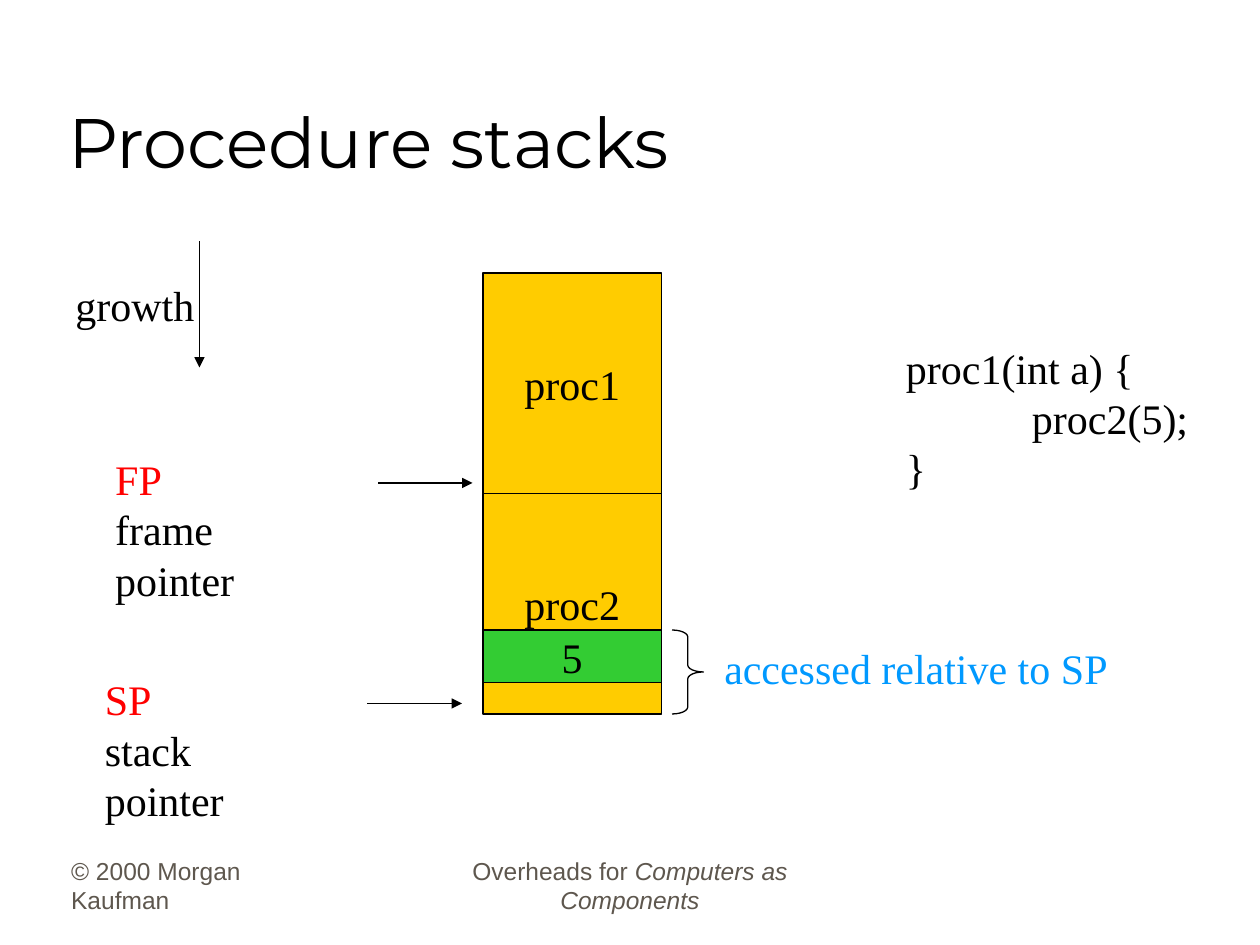
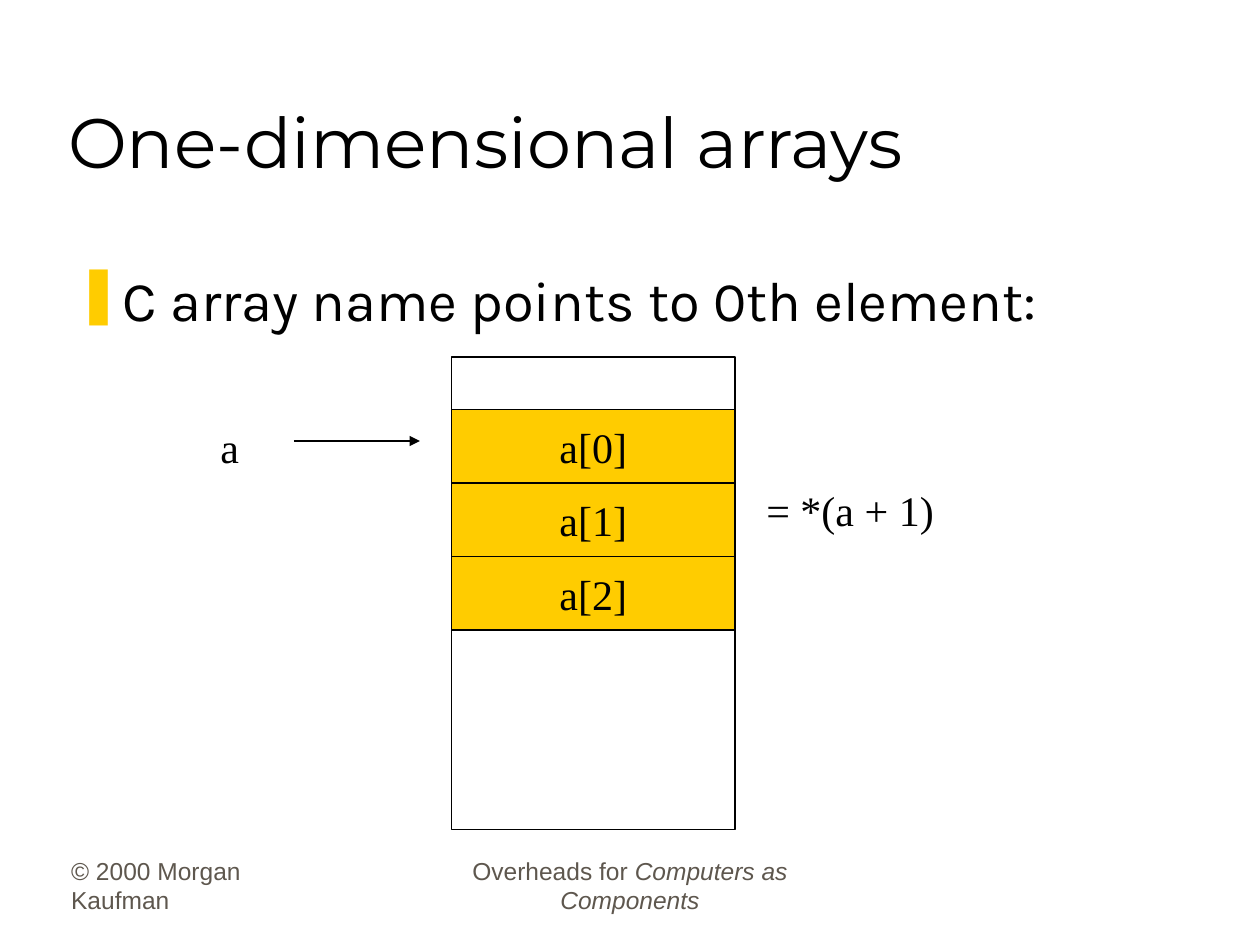
from lxml import etree
from pptx import Presentation
from pptx.dml.color import RGBColor
from pptx.enum.shapes import MSO_CONNECTOR, MSO_SHAPE
from pptx.enum.text import MSO_ANCHOR as ANCHOR, MSO_AUTO_SIZE as FIT, PP_ALIGN as ALIGN
from pptx.oxml.ns import qn
from pptx.util import Pt

PX = 7620  # 120 px to the inch
BLACK = RGBColor(0x00, 0x00, 0x00)
WHITE = RGBColor(0xFF, 0xFF, 0xFF)
YELLOW = RGBColor(0xFF, 0xCC, 0x00)
GREEN = RGBColor(0x33, 0xCC, 0x33)
RED = RGBColor(0xFF, 0x00, 0x00)
BLUE = RGBColor(0x00, 0x99, 0xFF)
GREY = RGBColor(0x5E, 0x57, 0x4E)

THIN = Pt(0.75)
TOP = {"vertical_anchor": ANCHOR.TOP, "word_wrap": True}
BOTTOM = {"vertical_anchor": ANCHOR.BOTTOM, "word_wrap": True}
LABEL_FRAME = {"word_wrap": False, "auto_size": FIT.SHAPE_TO_FIT_TEXT}
CELL_FRAME = {"vertical_anchor": ANCHOR.MIDDLE, "word_wrap": False}

# Each style: font name, size, text frame values, alignment
TITLE = ("Montserrat", 40, BOTTOM, ALIGN.LEFT)
BODY = ("Karla", 32, TOP, ALIGN.LEFT)
LABEL = ("Times New Roman", 24, LABEL_FRAME, ALIGN.LEFT)
CELL = ("Times New Roman", 24, CELL_FRAME, ALIGN.CENTER)
FOOT_LEFT = ("Arial", 14, BOTTOM, ALIGN.LEFT)
FOOT_MID = ("Arial", 14, BOTTOM, ALIGN.CENTER)


def add_text(s, box, lines, style, fill=None):
    """Add a text box, or a filled cell; each line is a list of (text, colour, italic) runs."""
    name, size, frame, align = style
    box = [v * PX for v in box]
    if fill is None:
        sp = s.shapes.add_textbox(*box)
    else:
        sp = s.shapes.add_shape(MSO_SHAPE.RECTANGLE, *box)
        sp.shadow.inherit = False
        sp.fill.solid()
        sp.fill.fore_color.rgb = fill
        sp.line.color.rgb = BLACK
        sp.line.width = THIN
    tf = sp.text_frame
    for key, value in frame.items():
        setattr(tf, key, value)
    for i, runs in enumerate(lines):
        p = tf.add_paragraph() if i else tf.paragraphs[0]
        p.alignment = align
        for text, color, italic in runs:
            r = p.add_run()
            r.text = text
            for key, value in {"name": name, "size": Pt(size), "italic": italic}.items():
                setattr(r.font, key, value)
            r.font.color.rgb = color
    return sp


def add_arrow(s, x1, y1, x2, y2):
    c = s.shapes.add_connector(MSO_CONNECTOR.STRAIGHT, x1 * PX, y1 * PX, x2 * PX, y2 * PX)
    c.line.color.rgb = BLACK
    c.line.width = THIN
    etree.SubElement(c.line._get_or_add_ln(), qn("a:tailEnd"), type="triangle")
    etree.SubElement(c._element.spPr, qn("a:effectLst"))


prs = Presentation()
prs.slide_width, prs.slide_height = 1200 * PX, 900 * PX

# Shared title and footers
slides = []
for title in ("Procedure stacks", "One-dimensional arrays"):
    s = prs.slides.add_slide(prs.slide_layouts[6])
    s.background.fill.solid()
    s.background.fill.fore_color.rgb = WHITE
    add_text(s, (56, 817, 250, 60), [[("© 2000 Morgan Kaufman", GREY, False)]], FOOT_LEFT)
    add_text(s, (410, 817, 380, 60), [[("Overheads for ", GREY, False),
                                       ("Computers as Components", GREY, True)]], FOOT_MID)
    add_text(s, (53, 30, 1020, 150), [[(title, BLACK, False)]], TITLE)
    slides.append(s)
stack, array = slides

# Procedure stacks: frames, pointers and the calling code
for box, text, fill in (
    ((460, 260, 170, 210), "proc1", YELLOW),
    ((460, 470, 170, 210), "proc2", YELLOW),
    ((460, 600, 170, 50), "5", GREEN),
):
    add_text(stack, box, [[(text, BLACK, False)]], CELL, fill)

for box, lines in (
    ((60, 260, 137, 60), [("growth", BLACK)]),
    ((98, 426, 240, 108), [("FP", RED), ("frame pointer", BLACK)]),
    ((88, 636, 229, 108), [("SP", RED), ("stack pointer", BLACK)]),
    ((678, 606, 389, 60), [("accessed relative to SP", BLUE)]),
):
    add_text(stack, box, [[(text, color, False)] for text, color in lines], LABEL)

code = ("proc1(int a) {", "\tproc2(5);", "}")
sp = add_text(stack, (851, 320, 293, 156), [[(line, BLACK, False)] for line in code], LABEL)
for p in sp.text_frame.paragraphs:
    tabs = etree.SubElement(p._p.get_or_add_pPr(), qn("a:tabLst"))
    etree.SubElement(tabs, qn("a:tab"), pos=str(120 * PX), algn="l")

for ends in ((190, 230, 190, 350), (360, 460, 450, 460), (350, 670, 440, 670)):
    add_arrow(stack, *ends)

brace = stack.shapes.add_shape(MSO_SHAPE.RIGHT_BRACE, 640 * PX, 600 * PX, 30 * PX, 80 * PX)
brace.adjustments[0] = 0.22
brace.shadow.inherit = False
brace.fill.background()
brace.line.color.rgb = BLACK
brace.line.width = THIN

# One-dimensional arrays: bullet, memory column and its elements
body = add_text(array, (60, 247, 1073, 93),
                [[("C array name points to 0th element:", BLACK, False)]], BODY)
pPr = body.text_frame.paragraphs[0]._p.get_or_add_pPr()
pPr.set("marL", str(45 * PX))
pPr.set("indent", str(-45 * PX))
bullet_color = etree.SubElement(pPr, qn("a:buClr"))
etree.SubElement(bullet_color, qn("a:srgbClr"), val=str(YELLOW))
etree.SubElement(pPr, qn("a:buChar"), char="❚")

for i in range(3):
    add_text(array, (430, 390 + 70 * i, 270, 70), [[(f"a[{i}]", BLACK, False)]], CELL, YELLOW)

add_arrow(array, 280, 420, 400, 420)
for box, text in (((198, 396, 42, 60), "a"), ((718, 456, 184, 60), "= *(a + 1)")):
    add_text(array, box, [[(text, BLACK, False)]], LABEL)

memory = array.shapes.add_shape(MSO_SHAPE.RECTANGLE, 430 * PX, 340 * PX, 270 * PX, 450 * PX)
memory.shadow.inherit = False
memory.fill.background()
memory.line.color.rgb = BLACK
memory.line.width = THIN

prs.save("out.pptx")
